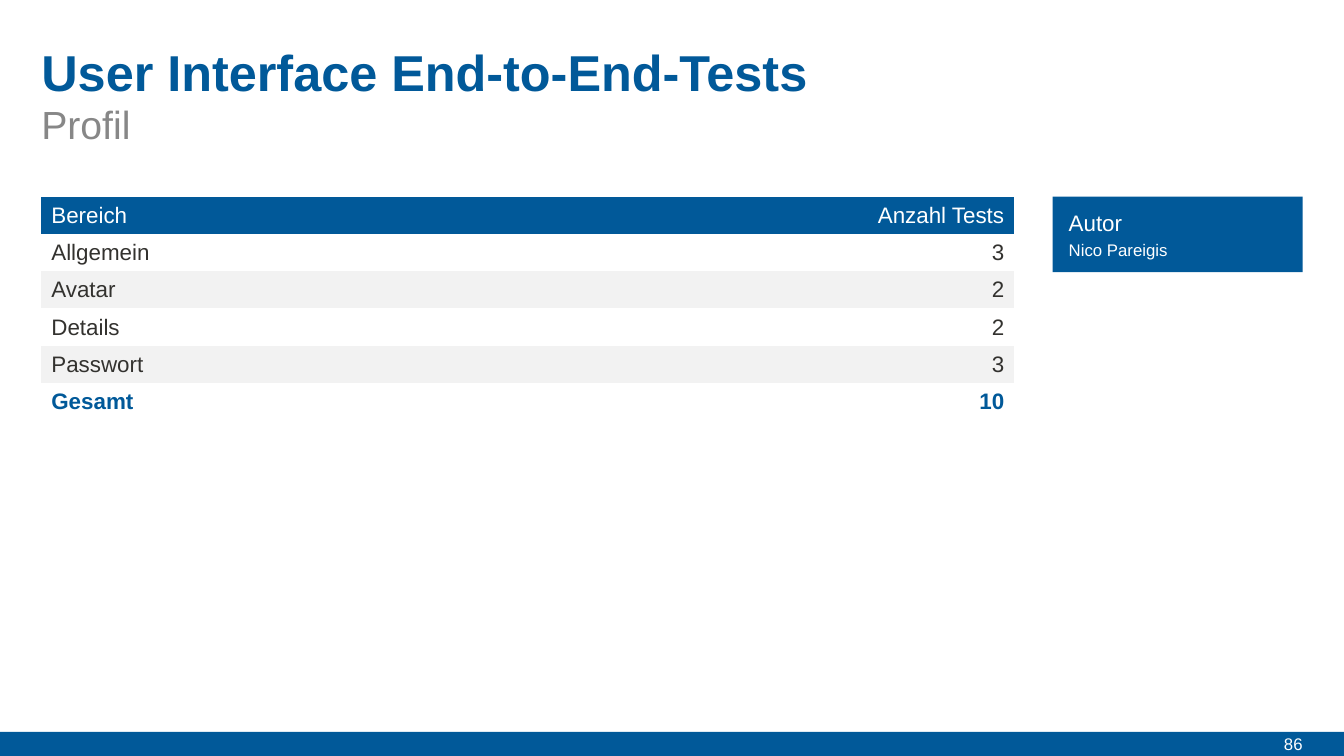
"""Build the slide that counts the end-to-end tests of the profile page."""
from dataclasses import dataclass

from lxml import etree
from pptx import Presentation
from pptx import util as u
from pptx.dml.color import RGBColor
from pptx.enum import shapes, text
from pptx.oxml.ns import qn


@dataclass(frozen=True)
class Theme:
    font: str = "Arial"
    blue: str = "015999"
    white: str = "FFFFFF"
    band: str = "F2F2F2"
    grey: str = "878787"
    ink: str = "33322F"
    title: int = 36
    subtitle: int = 28
    body: int = 16
    small: int = 12


@dataclass(frozen=True)
class Box:
    left: float
    top: float
    width: float
    height: float

    def lengths(self) -> list:
        return [u.Inches(v) for v in (self.left, self.top, self.width, self.height)]


@dataclass(frozen=True)
class Label:
    words: str
    box: Box
    size: int
    color: str
    bold: bool = False
    right: bool = False
    spacing: object = None
    anchor: object = text.MSO_ANCHOR.TOP


T = Theme()
LEFT, TOP, MAIN_WIDTH, ROW_HEIGHT = 0.41, 1.95, 9.65, 0.37
CARD_TEXT_LEFT, CARD_TEXT_WIDTH = 10.6, 2.17
NO_GRID_STYLE = "{2D5ABB26-0587-4C30-8999-92F81FD0307C}"

TITLE = Label("User Interface End-to-End-Tests", Box(LEFT, 0.41, MAIN_WIDTH, 0.62),
              T.title, T.blue, bold=True)
SUBTITLE = Label("Profil", Box(LEFT, 0.95, MAIN_WIDTH, 0.55),
                 T.subtitle, T.grey, spacing=1.1)
BARS = [Box(0, 7.26, 13.33, 0.24), Box(10.44, TOP, 2.48, 0.75)]
LABELS = [
    Label("86", Box(12.18, 7.26, 0.74, 0.24), T.small, T.white,
          right=True, anchor=text.MSO_ANCHOR.MIDDLE),
    Label("Autor", Box(CARD_TEXT_LEFT, 2.08, CARD_TEXT_WIDTH, 0.27),
          T.body, T.white, spacing=u.Pt(19)),
    Label("Nico Pareigis", Box(CARD_TEXT_LEFT, 2.38, CARD_TEXT_WIDTH, 0.2),
          T.small, T.white, spacing=u.Pt(14)),
]
ROWS = [("Bereich", "Anzahl Tests"), ("Allgemein", "3"), ("Avatar", "2"),
        ("Details", "2"), ("Passwort", "3"), ("Gesamt", "10")]


def apply(target: object, formats: dict) -> None:
    for name, value in formats.items():
        setattr(target, name, value)


def format_paragraph(p, size: int, color: str, bold: bool, right: bool, spacing) -> None:
    align = text.PP_ALIGN.RIGHT if right else text.PP_ALIGN.LEFT
    apply(p, {"alignment": align, "line_spacing": spacing, "space_before": u.Pt(0)})
    apply(p.font, {"name": T.font, "size": u.Pt(size), "bold": bold})
    p.font.color.rgb = RGBColor.from_string(color)


def fill_label(sp, label: Label) -> None:
    apply(sp, dict(zip(("left", "top", "width", "height"), label.box.lengths())))
    tf = sp.text_frame
    tf.text = label.words
    apply(tf, {"margin_left": 0, "margin_top": 0, "margin_right": 0, "margin_bottom": 0,
               "word_wrap": True, "auto_size": text.MSO_AUTO_SIZE.NONE,
               "vertical_anchor": label.anchor})
    p = tf.paragraphs[0]
    if sp.is_placeholder:
        p_pr = p._p.get_or_add_pPr()
        p_pr.set("marL", "0")
        p_pr.set("indent", "0")
        etree.SubElement(p_pr, qn("a:buNone"))
    format_paragraph(p, label.size, label.color, label.bold, label.right, label.spacing)


def add_bar(s, box: Box) -> None:
    sp = s.shapes.add_shape(shapes.MSO_SHAPE.RECTANGLE, *box.lengths())
    sp.shadow.inherit = False
    sp.fill.solid()
    sp.fill.fore_color.rgb = RGBColor.from_string(T.blue)
    sp.line.fill.background()


def add_test_table(s) -> None:
    box = Box(LEFT, TOP, MAIN_WIDTH, ROW_HEIGHT * len(ROWS))
    table = s.shapes.add_table(len(ROWS), 2, *box.lengths()).table
    apply(table, {"first_row": False, "horz_banding": False})
    table._tbl.tblPr.find(qn("a:tableStyleId")).text = NO_GRID_STYLE
    for i, row in enumerate(ROWS):
        header, total = i == 0, i == len(ROWS) - 1
        fill = T.blue if header else T.white if i % 2 else T.band
        if total:
            fill = T.white
        color = T.white if header else T.blue if total else T.ink
        for j, words in enumerate(row):
            cell = table.cell(i, j)
            cell.text = words
            cell.fill.solid()
            cell.fill.fore_color.rgb = RGBColor.from_string(fill)
            format_paragraph(cell.text_frame.paragraphs[0], T.body, color,
                             total, j == 1, u.Pt(19))


def main() -> None:
    prs = Presentation()
    apply(prs, {"slide_width": u.Inches(13.33), "slide_height": u.Inches(7.5)})
    s = prs.slides.add_slide(prs.slide_layouts[1])
    fill_label(s.shapes.title, TITLE)
    fill_label(s.placeholders[1], SUBTITLE)
    add_test_table(s)
    for box in BARS:
        add_bar(s, box)
    for label in LABELS:
        fill_label(s.shapes.add_textbox(*label.box.lengths()), label)
    prs.save("out.pptx")


if __name__ == "__main__":
    main()
